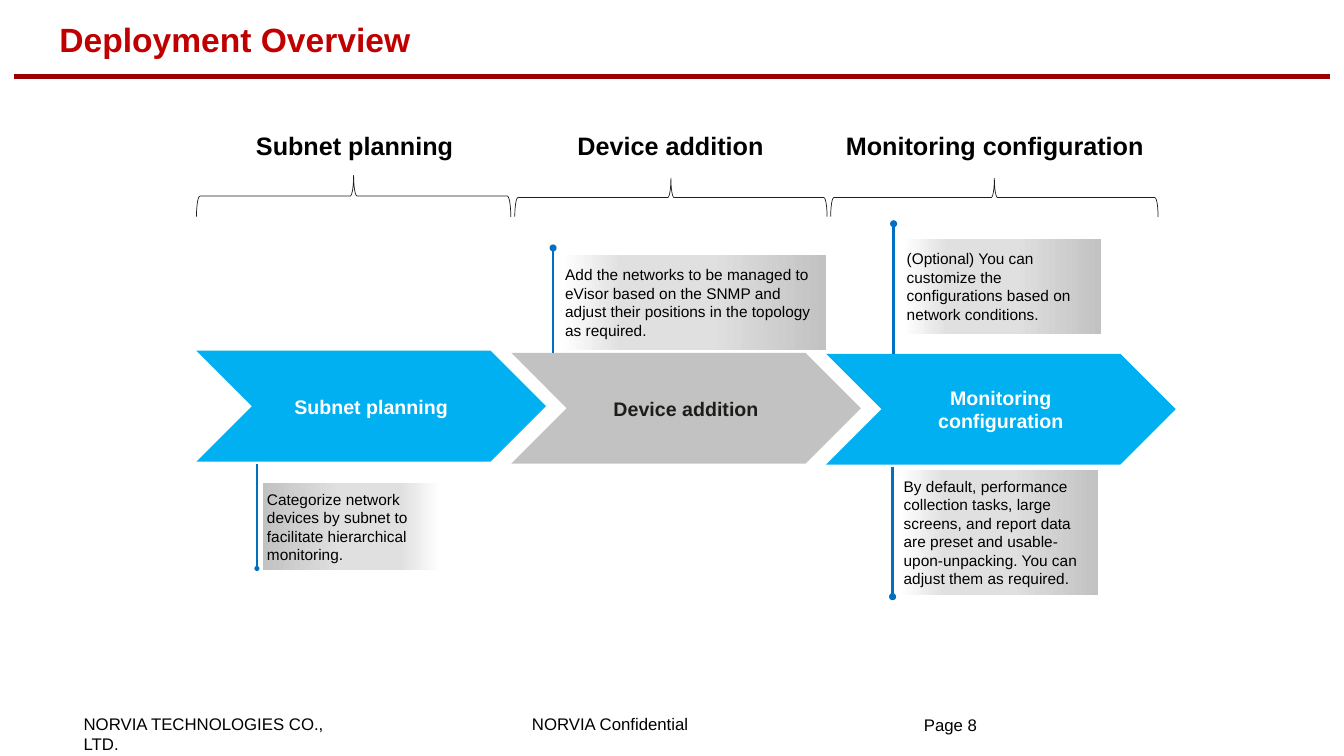
"""Builds the Deployment Overview slide: three phases with braces, chevrons and notes."""
from lxml import etree
from pptx import Presentation
from pptx.dml.color import RGBColor
from pptx.enum.shapes import MSO_CONNECTOR, MSO_SHAPE
from pptx.enum.text import MSO_ANCHOR, PP_ALIGN
from pptx.oxml.ns import qn
from pptx.util import Inches, Pt

BLACK = RGBColor(0x00, 0x00, 0x00)
WHITE = RGBColor(0xFF, 0xFF, 0xFF)
INK = RGBColor(0x1D, 0x1D, 0x1A)
TITLE_RED = RGBColor(0xC0, 0x00, 0x00)
RULE_RED = RGBColor(0x99, 0x00, 0x00)
SKY = RGBColor(0x00, 0xB0, 0xF0)
SILVER = RGBColor(0xC2, 0xC2, 0xC2)
MIST = RGBColor(0xE0, 0xE0, 0xE0)
PIN_BLUE = RGBColor(0x00, 0x70, 0xC0)

TITLE = "Deployment Overview"
# name, chevron top, chevron fill, chevron text, heading (left, width), brace (centre x, top, depth, span)
PHASES = [
    ("Subnet planning", 3.48, SKY, WHITE, (2.53, 1.98), (3.51, 1.74, 0.41, 3.12)),
    ("Device addition", 3.5, SILVER, INK, (5.72, 1.87), (6.66, 1.77, 0.38, 3.1)),
    ("Monitoring configuration", 3.51, SKY, WHITE, (8.38, 2.99), (9.87, 1.77, 0.38, 3.25)),
]
# text, box, gradient angle, pin (x, chevron end, dot centre y, dot size)
NOTES = [
    ("Categorize network devices by subnet to facilitate hierarchical monitoring.",
     (2.61, 4.79, 1.77, 0.87), 0, (2.55, 4.6, 5.64, 0.05)),
    ("Add the networks to be managed to eVisor based on the SNMP and adjust their "
     "positions in the topology as required.",
     (5.57, 2.53, 2.63, 0.94), 180, (5.49, 3.5, 2.46, 0.07)),
    ("(Optional) You can customize the configurations based on network conditions.",
     (8.96, 2.37, 1.97, 0.94), 180, (8.87, 3.51, 2.22, 0.07)),
    ("By default, performance collection tasks, large screens, and report data are "
     "preset and usable-upon-unpacking. You can adjust them as required.",
     (8.93, 4.66, 1.97, 1.24), 180, (8.86, 4.63, 5.92, 0.07)),
]
# text, box, left inset, right inset, line spacing
FOOTERS = [
    ("NORVIA TECHNOLOGIES CO., LTD.", (0.83, 7.08, 2.78, 0.2), 0, 0.09, 1),
    ("NORVIA Confidential", (5.19, 7.08, 1.77, 0.2), 0.09, 0.09, 1),
    ("Page 8", (9.17, 7.12, 2.28, 0.5), 0, 0, 0.85),
]
NOTE_STOPS = [(0, SILVER), (44, MIST), (77, MIST), (100, WHITE)]
CHEVRON_LEFT, CHEVRON_STEP, CHEVRON_SIZE = 1.95, 3.125, (3.47, 1.1)


def inches(*lengths):
    return [Inches(length) for length in lengths]


def write(shape, text, size, color, bold=False, align=PP_ALIGN.LEFT,
          anchor=MSO_ANCHOR.MIDDLE, insets=(0.1, 0.05, 0.1, 0.05), wrap=True, spacing=1):
    frame = shape.text_frame
    frame.text = text
    frame.word_wrap = wrap
    frame.vertical_anchor = anchor
    frame.margin_left, frame.margin_top, frame.margin_right, frame.margin_bottom = inches(*insets)
    paragraph = frame.paragraphs[0]
    paragraph.alignment = align
    paragraph.line_spacing = spacing
    font = paragraph.runs[0].font
    font.name, font.size, font.bold = "Arial", Pt(size), bold
    font.color.rgb = color


def add_solid(kind, box, color):
    shape = slide.shapes.add_shape(kind, *inches(*box))
    shape.shadow.inherit = False
    shape.fill.solid()
    shape.fill.fore_color.rgb = color
    shape.line.fill.background()
    return shape


def add_line(x1, y1, x2, y2, color, width):
    line = slide.shapes.add_connector(MSO_CONNECTOR.STRAIGHT, *inches(x1, y1, x2, y2))
    line.line.color.rgb = color
    line.line.width = Pt(width)
    etree.SubElement(line._element.spPr, qn("a:effectLst"))


def add_brace(center, top, depth, span):
    box = (center - depth / 2, top + (depth - span) / 2, depth, span)
    brace = slide.shapes.add_shape(MSO_SHAPE.RIGHT_BRACE, *inches(*box))
    brace.shadow.inherit = False
    brace.rotation = 270
    brace.fill.background()
    brace.line.color.rgb = INK
    brace.line.width = Pt(0.5)


def add_note(text, box, angle):
    note = add_solid(MSO_SHAPE.RECTANGLE, box, WHITE)
    note.fill.gradient()
    note.fill.gradient_angle = angle
    stops = note._element.spPr.find(qn("a:gradFill")).find(qn("a:gsLst"))
    for stop in list(stops):
        stops.remove(stop)
    for percent, color in NOTE_STOPS:
        stop = etree.SubElement(stops, qn("a:gs"), pos=str(percent * 1000))
        etree.SubElement(stop, qn("a:srgbClr"), val=str(color))
    write(note, text, 11, BLACK, insets=(0.04,) * 4)


def add_pin(x, chevron_end, dot_y, dot_size):
    add_line(x, chevron_end, x, dot_y, PIN_BLUE, 1.75)
    add_solid(MSO_SHAPE.OVAL, (x - dot_size / 2, dot_y - dot_size / 2, dot_size, dot_size), PIN_BLUE)


deck = Presentation()
deck.slide_width, deck.slide_height = inches(13.34, 7.5)
slide = deck.slides.add_slide(deck.slide_layouts[6])

add_line(0.14, 0.76, 13.2, 0.76, RULE_RED, 3)
title = slide.shapes.add_textbox(*inches(0.5, 0.01, 11.76, 0.76))
write(title, TITLE, 24, TITLE_RED, bold=True, insets=(0.09, 0.04, 0.09, 0.04))

for text, box, left_inset, right_inset, spacing in FOOTERS:
    footer = slide.shapes.add_textbox(*inches(*box))
    write(footer, text, 12, BLACK, anchor=MSO_ANCHOR.TOP,
          insets=(left_inset, 0, right_inset, 0), spacing=spacing)

for index, (name, top, fill, ink, (left, width), brace_place) in enumerate(PHASES):
    chevron_box = (CHEVRON_LEFT + index * CHEVRON_STEP, top, *CHEVRON_SIZE)
    chevron = add_solid(MSO_SHAPE.CHEVRON, chevron_box, fill)
    write(chevron, name, 14, ink, bold=True, align=PP_ALIGN.CENTER)
    heading = slide.shapes.add_textbox(*inches(left, 1.29, width, 0.3))
    write(heading, name, 18, BLACK, bold=True, align=PP_ALIGN.CENTER,
          anchor=MSO_ANCHOR.TOP, insets=(0,) * 4, wrap=False)
    add_brace(*brace_place)

for text, box, angle, pin in NOTES:
    add_pin(*pin)
    add_note(text, box, angle)

deck.save("out.pptx")
